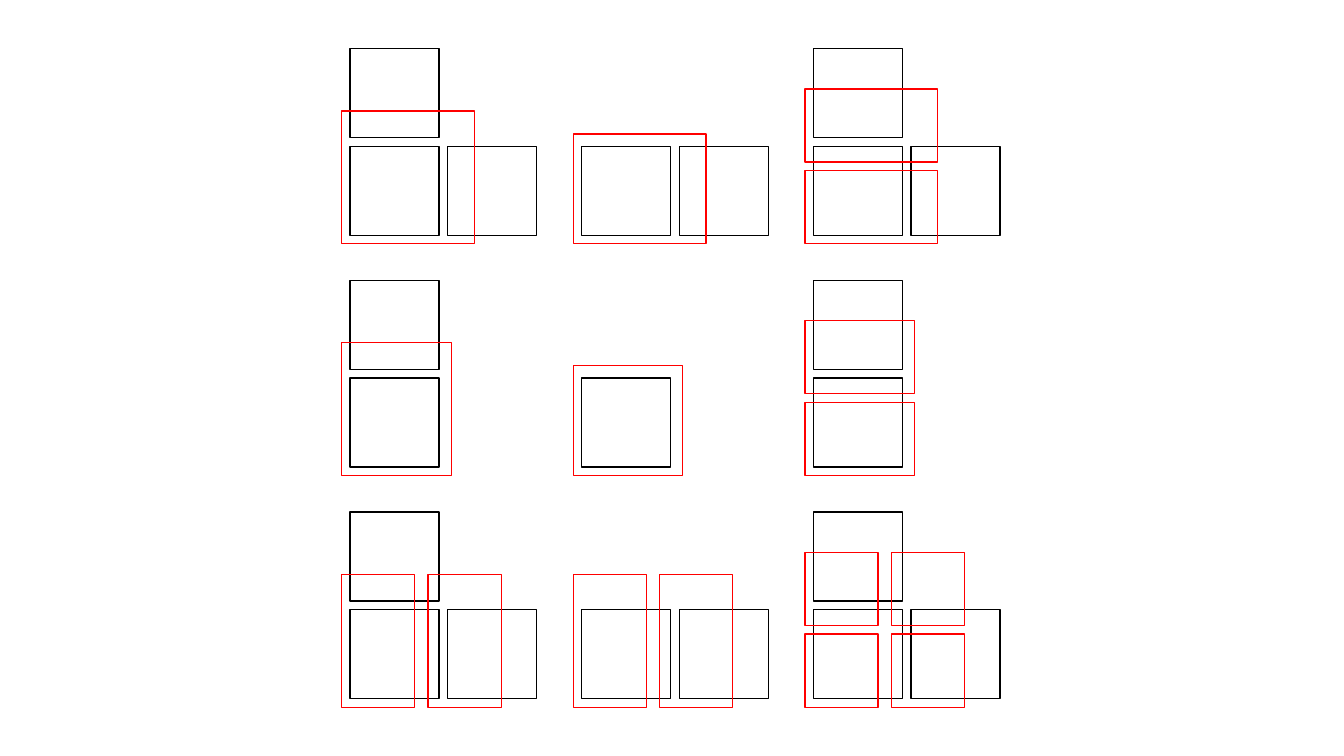
from itertools import product

from pptx import Presentation, util as u
from pptx.dml.color import RGBColor
from pptx.enum import shapes

BLACK = RGBColor(0, 0, 0)
RED = RGBColor(255, 0, 0)

# Grid of nine diagrams, in inches
LEFT, BOTTOM, PITCH = 2.8, 2.0, 1.9
TILE, TILE_STEP, MARGIN = 0.73, 0.8, 0.07
LONG, MEDIUM, SHORT = 1.09, 0.9, 0.6

# Red frames as (offset, size): across by row, upwards by column
ACROSS = [[(0, LONG)], [(0, MEDIUM)], [(0, SHORT), (0.71, SHORT)]]
UPWARDS = [[(0, LONG)], [(0, MEDIUM)], [(0, SHORT), (0.67, SHORT)]]

presentation = Presentation()
presentation.slide_width = u.Inches(11.02)
presentation.slide_height = u.Inches(6.2)
slide = presentation.slides.add_slide(presentation.slide_layouts[6])


def add_outline(left, bottom, width, height, color):
    shape = slide.shapes.add_shape(
        shapes.MSO_SHAPE.RECTANGLE,
        *(u.Inches(length) for length in (left, bottom - height, width, height)))
    shape.shadow.inherit = False
    shape.fill.background()
    shape.line.color.rgb = color
    shape.line.width = u.Pt(0)


for row, column in product(range(3), repeat=2):
    left, bottom = LEFT + column * PITCH, BOTTOM + row * PITCH

    # Black tiles: the corner, one above and one to the right
    tiles = [(0, 0)]
    if column != 1:
        tiles.append((0, 1))
    if row != 1:
        tiles.append((1, 0))
    for across, up in tiles:
        add_outline(left + MARGIN + across * TILE_STEP,
                    bottom - MARGIN - up * TILE_STEP, TILE, TILE, BLACK)

    # Red frames: the bottom middle diagram has tall ones
    heights = UPWARDS[0] if (row, column) == (2, 1) else UPWARDS[column]
    for (across, width), (up, height) in product(ACROSS[row], heights):
        add_outline(left + across, bottom - up, width, height, RED)

presentation.save("out.pptx")
